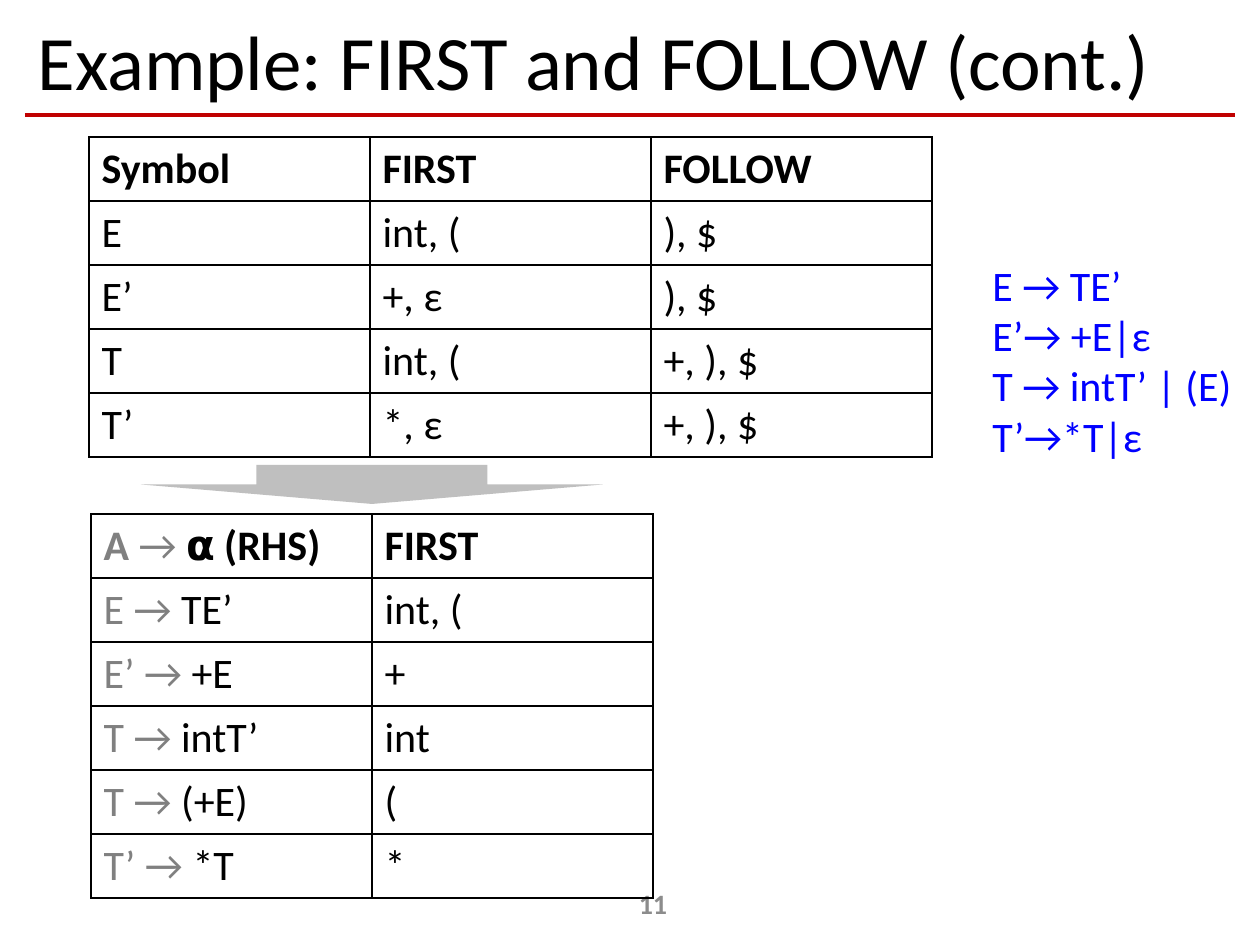
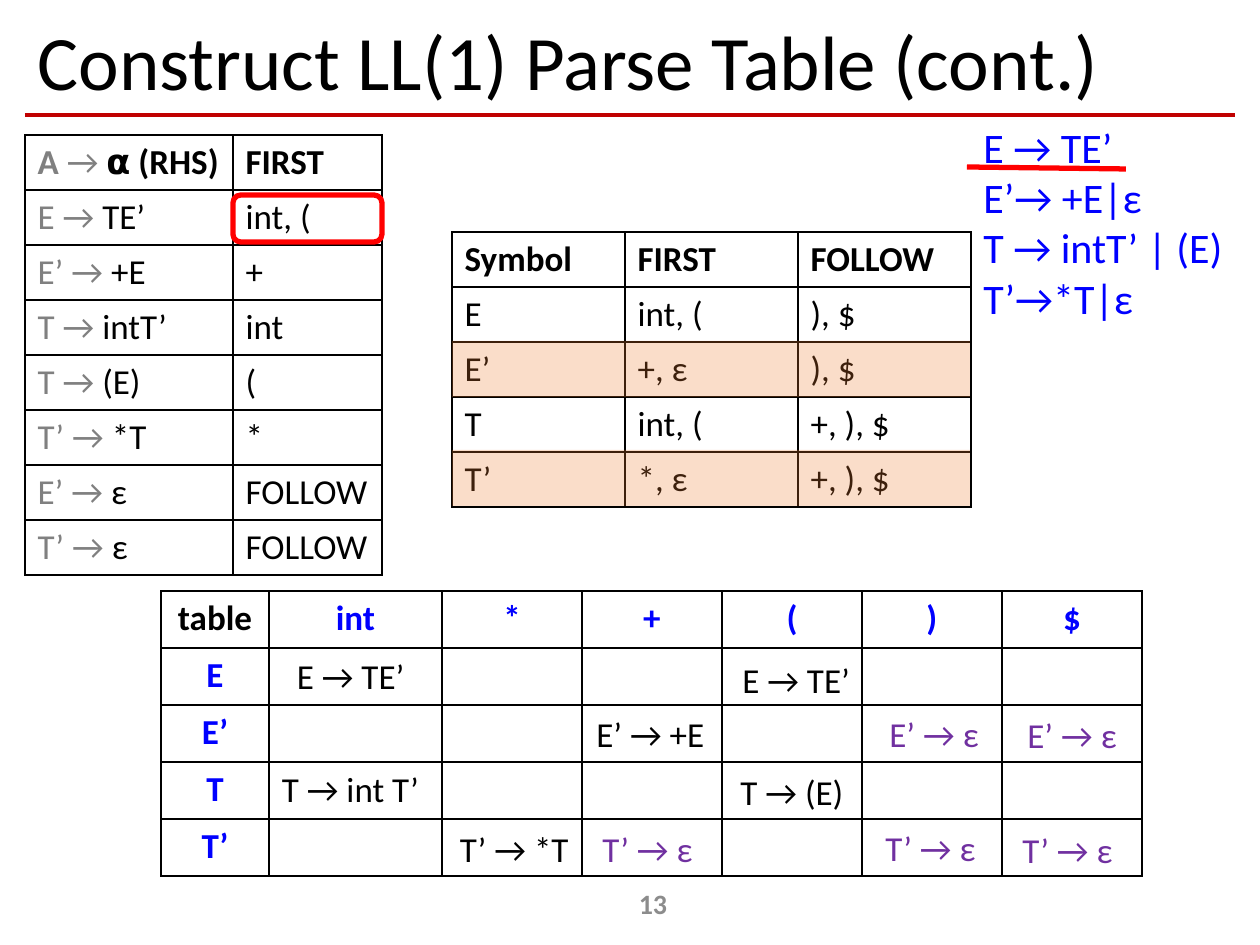
from dataclasses import dataclass
from itertools import accumulate

from lxml import etree
from pptx import Presentation
from pptx.dml.color import RGBColor
from pptx.enum.shapes import MSO_CONNECTOR, MSO_SHAPE
from pptx.enum.text import MSO_ANCHOR, MSO_AUTO_SIZE, PP_ALIGN
from pptx.oxml.ns import qn
from pptx.util import Pt

LEFT, CENTER = PP_ALIGN.LEFT, PP_ALIGN.CENTER
TOP, MIDDLE = MSO_ANCHOR.TOP, MSO_ANCHOR.MIDDLE
STRAIGHT = MSO_CONNECTOR.STRAIGHT
RECTANGLE, ROUNDED = MSO_SHAPE.RECTANGLE, MSO_SHAPE.ROUNDED_RECTANGLE
DOWN_ARROW = MSO_SHAPE.DOWN_ARROW
PIXELS_PER_INCH = 126
SCALE = 914400 / PIXELS_PER_INCH
TITLE_ONLY = 5


@dataclass(frozen=True)
class Theme:
    font: str = "Calibri"
    text: str = "000000"
    muted: str = "808080"
    number: str = "8C8C8C"
    grammar: str = "0000FF"
    epsilon: str = "7030A0"
    rule: str = "C00000"
    mark: str = "FF0000"
    arrow: str = "BFBFBF"
    highlight: str = "ED7D31"
    title_size: int = 44
    large_size: int = 24
    medium_size: int = 20
    number_size: int = 16


THEME = Theme()

GRAMMAR = ["E → TE’", "E’→ +E|ε", "T → intT’ | (E)", "T’→*T|ε"]
SYMBOL_SETS = [
    ("Symbol", "FIRST", "FOLLOW"),
    ("E", "int, (", "), $"),
    ("E’", "+, ε", "), $"),
    ("T", "int, (", "+, ), $"),
    ("T’", "*, ε", "+, ), $"),
]


def production_rows(parenthesized):
    return [
        ("A → ⍺ (RHS)", "FIRST"),
        ("E → TE’", "int, ("),
        ("E’ → +E", "+"),
        ("T → intT’", "int"),
        (f"T → {parenthesized}", "("),
        ("T’ → *T", "*"),
    ]


EPSILON_ROWS = [("E’ → ε", "FOLLOW"), ("T’ → ε", "FOLLOW")]
TERMINALS = ["int", "*", "+", "(", ")", "$"]
NONTERMINALS = ["E", "E’", "T", "T’"]
PARSE_ROWS = [["table", *TERMINALS]] + [
    [name] + [""] * len(TERMINALS) for name in NONTERMINALS
]
PARSE_LEFT, PARSE_TOP, PARSE_ROW = 161, 591, 57
PARSE_WIDTHS = [108, 173] + [140] * 5
PARSE_ENTRIES = [
    ("E", "int", "E → TE’", 136, (-3, 0)),
    ("E", "(", "E → TE’", 136, (6, 4)),
    ("E’", "+", "E’ → +E", 136, (0, 1)),
    ("E’", ")", "E’ → ε", 118, (4, 1)),
    ("E’", "$", "E’ → ε", 118, (2, 2)),
    ("T", "int", "T → int T’", 166, (-3, -1)),
    ("T", "(", "T → (E)", 132, (2, 2)),
    ("T’", "*", "T’ → *T", 137, (4, 2)),
    ("T’", "+", "T’ → ε", 118, (-3, 2)),
    ("T’", ")", "T’ → ε", 118, (0, 1)),
    ("T’", "$", "T’ → ε", 118, (-3, 3)),
]


def emu(pixels):
    return round(pixels * SCALE)


def box(*pixels):
    return [emu(value) for value in pixels]


def color(value):
    return RGBColor.from_string(value)


def write(paragraph, text, size=THEME.large_size, ink=THEME.text, bold=False,
          align=LEFT):
    paragraph.alignment = align
    run = paragraph.add_run()
    run.text = text
    run.font.name = THEME.font
    run.font.size = Pt(size)
    run.font.bold = bold
    run.font.color.rgb = color(ink)


def add_text(slide, lines, left, top, width, height, wrap=False, anchor=TOP,
             **style):
    frame = slide.shapes.add_textbox(*box(left, top, width, height)).text_frame
    frame.word_wrap = wrap
    frame.vertical_anchor = anchor
    for index, line in enumerate(lines):
        paragraph = frame.add_paragraph() if index else frame.paragraphs[0]
        write(paragraph, line, **style)


def add_line(slide, start, end, ink, weight):
    line = slide.shapes.add_connector(STRAIGHT, *box(*start, *end))
    line.line.color.rgb = color(ink)
    line.line.width = Pt(weight)
    etree.SubElement(line.element.spPr, qn("a:effectLst"))


def add_figure(slide, kind, bounds, fill=None, opacity=100, outline=None):
    figure = slide.shapes.add_shape(kind, *box(*bounds))
    figure.shadow.inherit = False
    if fill:
        figure.fill.solid()
        figure.fill.fore_color.rgb = color(fill)
        if opacity < 100:
            tint = figure.element.spPr.find(".//" + qn("a:srgbClr"))
            etree.SubElement(tint, qn("a:alpha"), val=str(opacity * 1000))
    else:
        figure.fill.background()
    if outline:
        figure.line.color.rgb = color(outline)
        figure.line.width = Pt(3)
    else:
        figure.line.fill.background()


def border(cell):
    properties = cell._tc.get_or_add_tcPr()
    for index, side in enumerate(("lnL", "lnR", "lnT", "lnB")):
        line = etree.Element(qn(f"a:{side}"), w=str(Pt(1)))
        fill = etree.SubElement(line, qn("a:solidFill"))
        etree.SubElement(fill, qn("a:srgbClr"), val=THEME.text)
        properties.insert(index, line)


def write_cell(cell, text, bold, size):
    paragraph = cell.text_frame.paragraphs[0]
    head, arrow, tail = text.partition("→ ")
    if arrow:
        write(paragraph, head, size=size, ink=THEME.muted, bold=bold)
        write(paragraph, arrow, size=size, ink=THEME.muted)
        write(paragraph, tail, size=size, bold=bold)
    else:
        write(paragraph, text, size=size, bold=bold)


def write_parse_cell(cell, text, bold, size):
    if text:
        ink = THEME.text if text == "table" else THEME.grammar
        write(cell.text_frame.paragraphs[0], text, size=size, ink=ink,
              bold=True, align=CENTER)


def add_grid(slide, rows, left, top, widths, row_height, size=THEME.medium_size,
             header=True, writer=write_cell):
    bounds = box(left, top, sum(widths), row_height * len(rows))
    table = slide.shapes.add_table(len(rows), len(widths), *bounds).table
    table.first_row = table.horz_banding = False
    for column, width in zip(table.columns, widths):
        column.width = emu(width)
    for row_index, values in enumerate(rows):
        table.rows[row_index].height = emu(row_height)
        for column_index, text in enumerate(values):
            cell = table.cell(row_index, column_index)
            cell.fill.background()
            border(cell)
            writer(cell, text, header and row_index == 0, size)


def add_grammar(slide, left, top):
    add_text(slide, GRAMMAR, left, top, 265, 217, ink=THEME.grammar)


def start_slide(presentation, title, number):
    slide = presentation.slides.add_slide(presentation.slide_layouts[TITLE_ONLY])
    add_line(slide, (25, 115), (1235, 115), THEME.rule, 2.5)
    shape = slide.shapes.title
    shape.left, shape.top, shape.width, shape.height = box(25, 16, 1211, 100)
    frame = shape.text_frame
    frame.auto_size = MSO_AUTO_SIZE.NONE
    frame.vertical_anchor = MIDDLE
    frame.paragraphs[0].line_spacing = 0.9
    write(frame.paragraphs[0], title, size=THEME.title_size)
    add_text(slide, [str(number)], 511, 878, 284, 50, wrap=True, anchor=MIDDLE,
             size=THEME.number_size, ink=THEME.number, bold=True, align=CENTER)
    return slide


def build_sets_slide(presentation):
    slide = start_slide(presentation, "Example: FIRST and FOLLOW (cont.)", 11)
    add_grid(slide, SYMBOL_SETS, 89, 137, [281] * 3, 64, THEME.large_size)
    add_grid(slide, production_rows("(+E)"), 91, 514, [281] * 2, 64,
             THEME.large_size)
    add_grammar(slide, 980, 253)
    add_figure(slide, DOWN_ARROW, (141, 465, 462, 39), fill=THEME.arrow)


def add_parse_entries(slide):
    edges = [PARSE_LEFT, *accumulate(PARSE_WIDTHS, initial=PARSE_LEFT)][1:]
    for nonterminal, terminal, text, width, (shift_x, shift_y) in PARSE_ENTRIES:
        column = TERMINALS.index(terminal) + 1
        row = NONTERMINALS.index(nonterminal) + 1
        left = edges[column] + (PARSE_WIDTHS[column] - width) / 2 + shift_x
        top = PARSE_TOP + row * PARSE_ROW + shift_y
        ink = THEME.epsilon if text.endswith("ε") else THEME.text
        add_text(slide, [text], left, top, width, 55, size=THEME.medium_size,
                 ink=ink)


def build_parse_slide(presentation):
    slide = start_slide(presentation, "Construct LL(1) Parse Table (cont.)", 13)
    add_grid(slide, PARSE_ROWS, PARSE_LEFT, PARSE_TOP, PARSE_WIDTHS, PARSE_ROW,
             writer=write_parse_cell)
    production_widths = [208, 149]
    add_grid(slide, production_rows("(E)"), 25, 135, production_widths, 55)
    add_grammar(slide, 971, 115)
    add_grid(slide, SYMBOL_SETS, 452, 232, [173] * 3, 55)
    for index, row in enumerate(EPSILON_ROWS):
        add_grid(slide, [row], 25, 465 + 55 * index, production_widths, 55,
                 header=False)
    for top in (341, 450):
        add_figure(slide, RECTANGLE, (452, top, 518, 56), fill=THEME.highlight,
                   opacity=26)
    add_line(slide, (967, 167), (1126, 169), THEME.mark, 3)
    add_figure(slide, ROUNDED, (233, 195, 149, 47), outline=THEME.mark)
    add_parse_entries(slide)


def main():
    presentation = Presentation()
    presentation.slide_width, presentation.slide_height = box(1260, 945)
    build_sets_slide(presentation)
    build_parse_slide(presentation)
    presentation.save("out.pptx")


if __name__ == "__main__":
    main()
